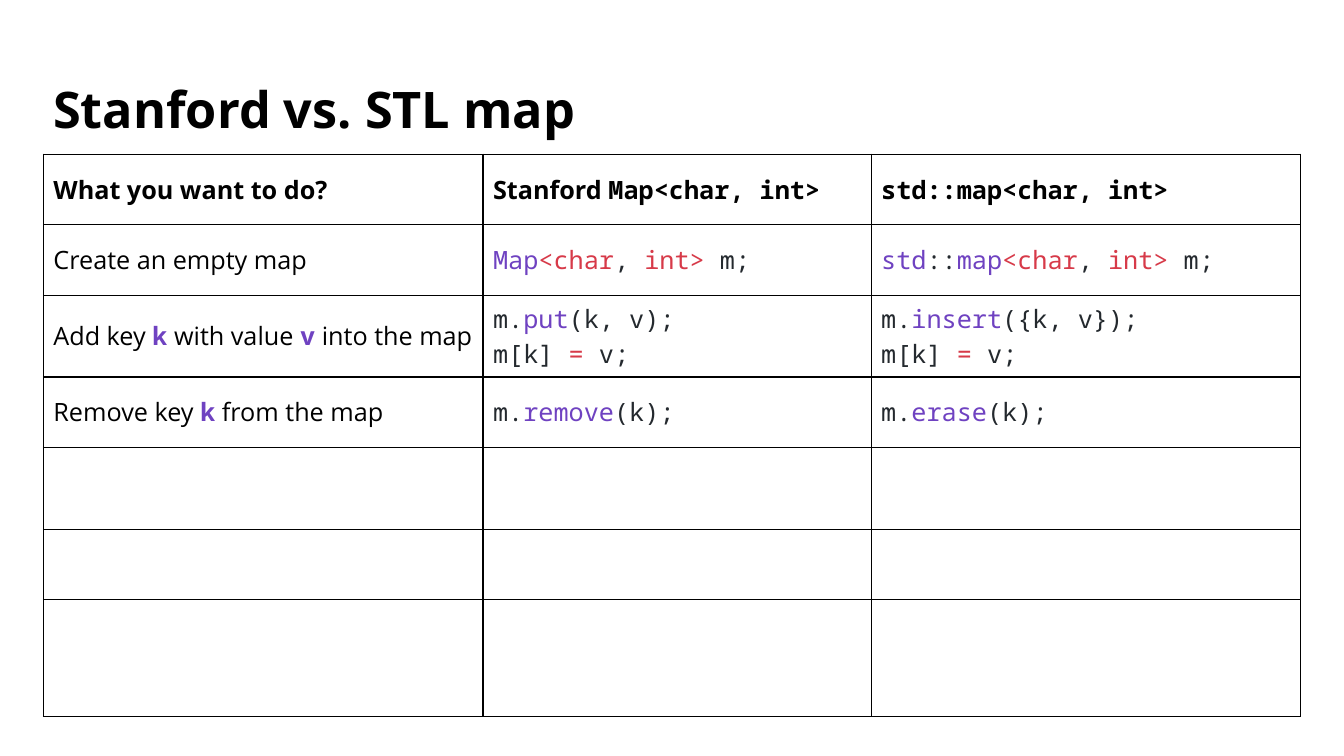
from lxml import etree
from pptx import Presentation
from pptx.dml.color import RGBColor
from pptx.enum.text import MSO_ANCHOR
from pptx.oxml.ns import qn
from pptx.util import Inches, Pt

MIDDLE = MSO_ANCHOR.MIDDLE
SANS, MONO = "Open Sans", "Noto Sans Mono"
COLORS = {"black": "000000", "ink": "24292E", "purple": "6F42C1", "red": "D73A49"}

# style: (font, colour, bold)
STYLES = {
    "head": (SANS, "black", True),
    "head code": (MONO, "black", True),
    "text": (SANS, "black", False),
    "key": (MONO, "purple", True),
    "code": (MONO, "ink", False),
    "name": (MONO, "purple", False),
    "type": (MONO, "red", False),
}

TITLE = "Stanford vs. STL map"
MAP_TYPE = [("type", "<char"), ("code", ", "), ("type", "int>"), ("code", " m;")]
ASSIGN = [("code", "m[k] "), ("type", "="), ("code", " v;")]


def call(method, arguments):
    return [("code", "m."), ("name", method), ("code", arguments)]


# Each cell is a list of lines, each line a list of (style, text)
ROWS = [
    [[[("head", "What you want to do?")]],
     [[("head", "Stanford "), ("head code", "Map<char, int>")]],
     [[("head code", "std::map<char, int>")]]],
    [[[("text", "Create an empty map")]],
     [[("name", "Map"), *MAP_TYPE]],
     [[("name", "std"), ("code", "::"), ("name", "map"), *MAP_TYPE]]],
    [[[("text", "Add key "), ("key", "k"), ("text", " with value "),
       ("key", "v"), ("text", " into the map")]],
     [call("put", "(k, v);"), ASSIGN],
     [call("insert", "({k, v});"), ASSIGN]],
    [[[("text", "Remove key "), ("key", "k"), ("text", " from the map")]],
     [call("remove", "(k);")],
     [call("erase", "(k);")]],
    [[], [], []],
    [[], [], []],
    [[], [], []],
]
COLUMN_WIDTHS = [4.36, 3.85, 4.26]
ROW_HEIGHTS = [0.7, 0.7, 0.81, 0.7, 0.81, 0.7, 1.16]
LEFT, TITLE_TOP, TABLE_TOP = 0.43, 0.69, 1.53


def style_font(font, style, size):
    font.name, color, font.bold = STYLES[style]
    font.size = Pt(size)
    font.color.rgb = RGBColor.from_string(COLORS[color])


def write_lines(frame, lines, size):
    for number, line in enumerate(lines):
        paragraph = frame.add_paragraph() if number else frame.paragraphs[0]
        for style, text in line:
            run = paragraph.add_run()
            run.text = text
            style_font(run.font, style, size)


def add_borders(cell):
    properties = cell._tc.get_or_add_tcPr()
    for position, side in enumerate(("lnL", "lnR", "lnT", "lnB")):
        border = etree.Element(qn(f"a:{side}"), w=str(Pt(1)))
        fill = etree.SubElement(border, qn("a:solidFill"))
        etree.SubElement(fill, qn("a:srgbClr"), val=COLORS["black"])
        properties.insert(position, border)


presentation = Presentation()
presentation.slide_width, presentation.slide_height = Inches(13.33), Inches(7.5)
slide = presentation.slides.add_slide(presentation.slide_layouts[6])
table_width = Inches(sum(COLUMN_WIDTHS))

title = slide.shapes.add_textbox(
    Inches(LEFT), Inches(TITLE_TOP), table_width, Inches(TABLE_TOP - TITLE_TOP)).text_frame
title.word_wrap = True
title.vertical_anchor = MIDDLE
title.text = TITLE
title.paragraphs[0].line_spacing = 0.9
style_font(title.paragraphs[0].font, "head", 36)

comparison = slide.shapes.add_table(
    len(ROWS), len(COLUMN_WIDTHS), Inches(LEFT), Inches(TABLE_TOP),
    table_width, Inches(sum(ROW_HEIGHTS))).table
comparison.first_row = comparison.horz_banding = False
for column, width in zip(comparison.columns, COLUMN_WIDTHS):
    column.width = Inches(width)
for row, height, contents in zip(comparison.rows, ROW_HEIGHTS, ROWS):
    row.height = Inches(height)
    for cell, lines in zip(row.cells, contents):
        cell.fill.background()
        cell.vertical_anchor = MIDDLE
        add_borders(cell)
        write_lines(cell.text_frame, lines, 18)

presentation.save("out.pptx")
